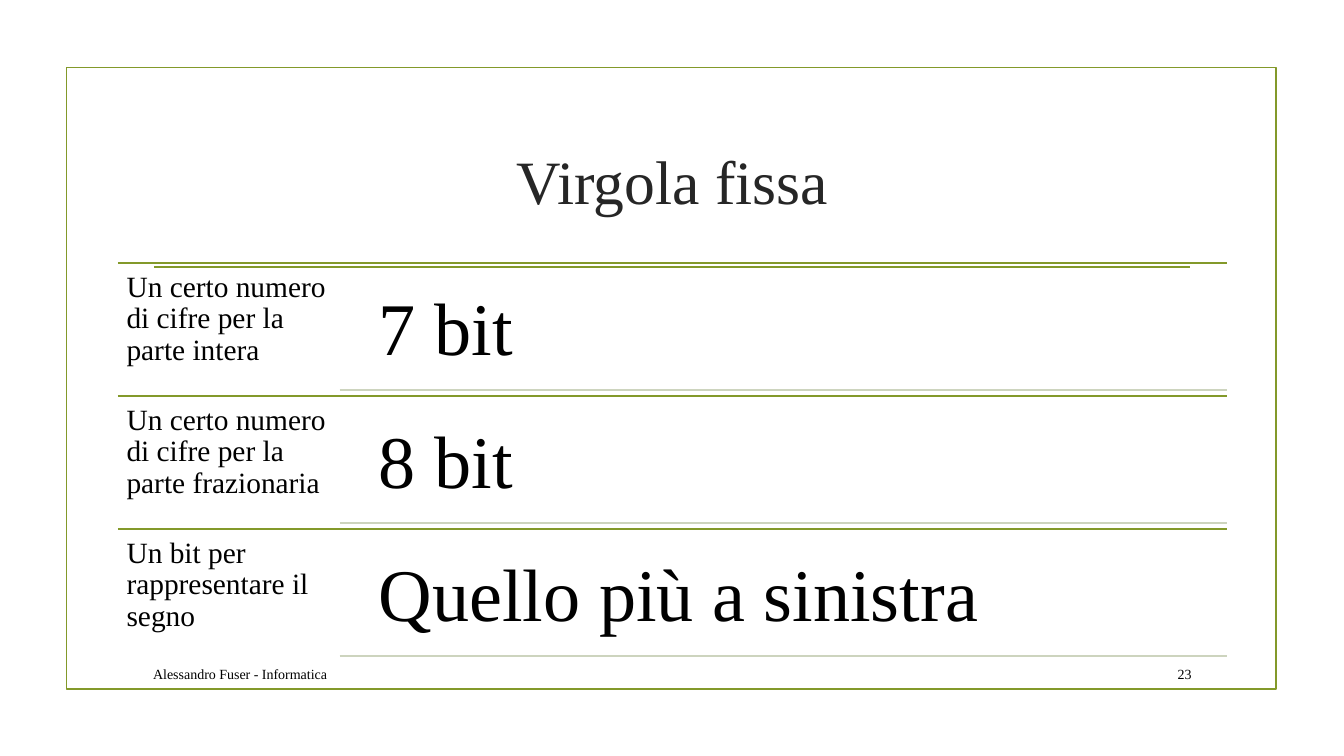
from lxml.etree import SubElement
from pptx import Presentation
from pptx.dml.color import RGBColor
from pptx.enum.shapes import MSO_CONNECTOR, MSO_SHAPE
from pptx.enum.text import MSO_ANCHOR, PP_ALIGN
from pptx.oxml.ns import qn
from pptx.util import Cm, Pt

GREEN = RGBColor(0x83, 0x99, 0x2A)
PALE_GREEN = RGBColor(0xCD, 0xD4, 0xBE)
BLACK = RGBColor(0, 0, 0)
CHARCOAL = RGBColor(0x26, 0x26, 0x26)
FONT = "Times New Roman"
LINE_WIDTH = Pt(1.25)

COMPONENTS = [
    ("Un certo numero di cifre per la parte intera", "7 bit"),
    ("Un certo numero di cifre per la parte frazionaria", "8 bit"),
    ("Un bit per rappresentare il segno", "Quello più a sinistra"),
]


def style_paragraph(paragraph, size, color, align):
    paragraph.alignment = align
    paragraph.font.name = FONT
    paragraph.font.size = Pt(size)
    paragraph.font.color.rgb = color


def add_rule(slide, left, right, top, color):
    rule = slide.shapes.add_connector(
        MSO_CONNECTOR.STRAIGHT, Cm(left), Cm(top), Cm(right), Cm(top))
    rule.line.color.rgb = color
    rule.line.width = LINE_WIDTH
    SubElement(rule._element.spPr, qn("a:effectLst"))


def add_text(slide, box, text, size, inset=(0.25, 0.13), spacing=1.0,
             anchor=MSO_ANCHOR.TOP, align=PP_ALIGN.LEFT):
    frame = slide.shapes.add_textbox(*map(Cm, box)).text_frame
    frame.word_wrap = True
    frame.vertical_anchor = anchor
    frame.margin_left = frame.margin_right = Cm(inset[0])
    frame.margin_top = frame.margin_bottom = Cm(inset[1])
    paragraph = frame.paragraphs[0]
    paragraph.text = text
    paragraph.line_spacing = spacing
    style_paragraph(paragraph, size, BLACK, align)


def add_frame(slide, box):
    border = slide.shapes.add_shape(MSO_SHAPE.RECTANGLE, *map(Cm, box))
    border.shadow.inherit = False
    border.fill.background()
    border.line.color.rgb = GREEN
    border.line.width = LINE_WIDTH


def add_title(slide, box):
    left, top, width, height = box
    title = slide.shapes.title
    title.left, title.top, title.width, title.height = map(Cm, box)
    title.text_frame.text = "Virgola fissa"
    title.text_frame.vertical_anchor = MSO_ANCHOR.MIDDLE
    style_paragraph(title.text_frame.paragraphs[0], 44, CHARCOAL, PP_ALIGN.CENTER)
    add_rule(slide, left + 0.28, left + width - 0.28, top + height + 0.38, GREEN)


def add_components(slide, box):
    left, top, width, height = box
    right = left + width
    row_height = height / len(COMPONENTS)
    label_width = width / 5
    detail_left = left + label_width + 0.43
    for index, (label, detail) in enumerate(COMPONENTS):
        row_top = top + index * row_height
        add_rule(slide, left, right, row_top, GREEN)
        add_text(slide, (left, row_top, label_width, row_height),
                 label, 21, (0.22, 0.22), 0.9)
        add_text(slide, (detail_left, row_top + 0.15, right - detail_left, 3.05),
                 detail, 53, (0.56, 0.56), 0.9)
        add_rule(slide, left + label_width, right, row_top + 3.2, PALE_GREEN)


def add_footer(slide, box):
    left, top, width, height = box
    number_width = 1.5
    add_text(slide, (left, top, 20.3, height), "Alessandro Fuser - Informatica",
             10, anchor=MSO_ANCHOR.MIDDLE)
    add_text(slide, (left + width - number_width, top, number_width, height), "23",
             10, anchor=MSO_ANCHOR.MIDDLE, align=PP_ALIGN.RIGHT)


def main():
    presentation = Presentation()
    presentation.slide_width = Cm(33.87)
    presentation.slide_height = Cm(19.05)
    slide = presentation.slides.add_slide(presentation.slide_layouts[5])
    add_frame(slide, (1.68, 1.7, 30.48, 15.67))
    add_title(slide, (3.61, 2.72, 26.67, 3.63))
    add_components(slide, (2.97, 6.63, 27.94, 10.05))
    add_footer(slide, (3.61, 16.59, 26.67, 0.79))
    presentation.save("out.pptx")


if __name__ == "__main__":
    main()
